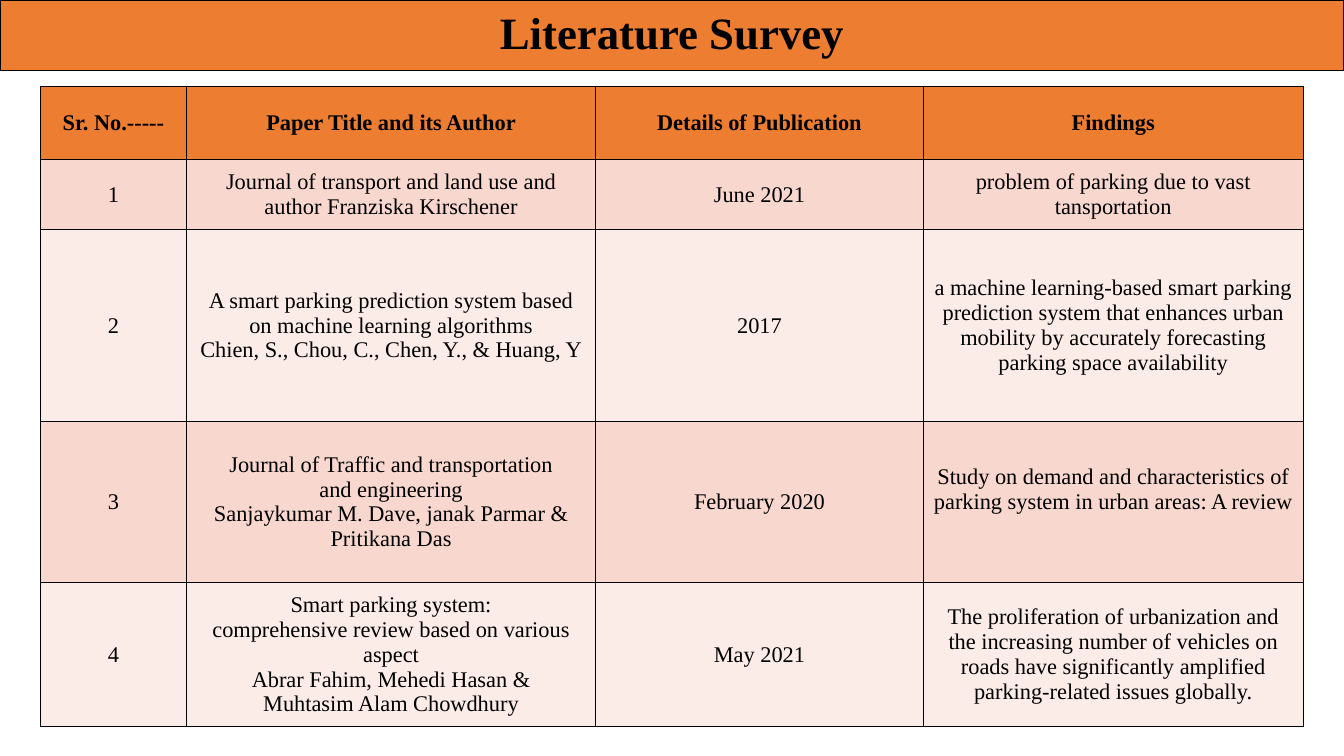
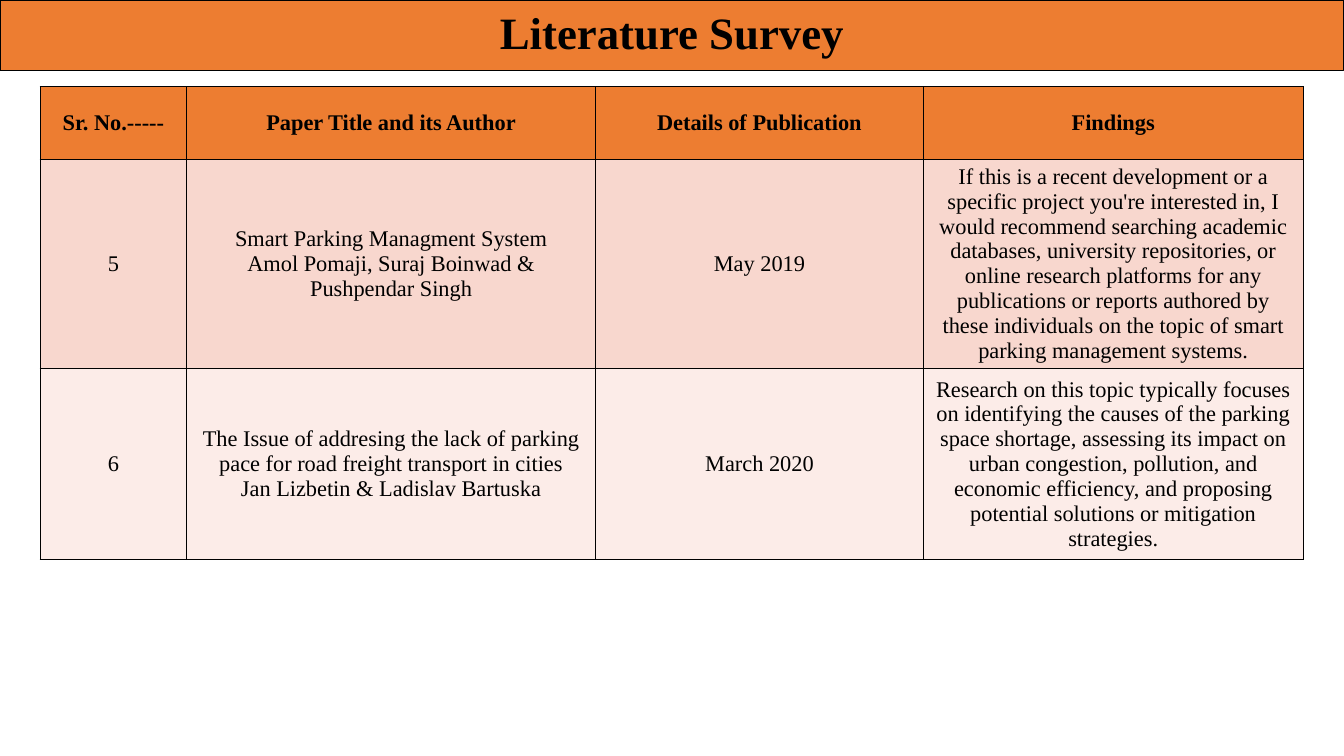
"""Build the literature survey slides, each a title band above a table."""
import dataclasses

import lxml.etree
import pptx
import pptx.dml.color
import pptx.enum.text
import pptx.oxml.ns
import pptx.util

Pt = pptx.util.Pt
RGB = pptx.dml.color.RGBColor.from_string
ANCHOR = pptx.enum.text.MSO_ANCHOR
CENTER = pptx.enum.text.PP_ALIGN.CENTER


@dataclasses.dataclass(frozen=True)
class Theme:
    font: str = "Times New Roman"
    ink: str = "000000"
    accent: str = "ED7D31"
    bands: tuple = ("F8D7CE", "FCECE8")
    title_size: int = 32
    table_size: int = 16
    title_line: float = 0.75
    border: int = 1


WIDTH, HEIGHT = 960, 540
BAND_HEIGHT = 50.4
TABLE_LEFT, TABLE_TOP = 28.8, 61.9
COLUMNS = (104.4, 292.3, 234, 271.4)
HEADER_HEIGHT = 51.8
ROW_HEIGHTS = (50.4, 136.8, 115.2, 103)
PADDING = {"margin_left": 7.2, "margin_right": 7.2, "margin_top": 3.6, "margin_bottom": 3.6}
RAISED = {"margin_bottom": 21.6}

TITLE = "Literature Survey"
HEADER = ("Sr. No.-----", "Paper Title and its Author", "Details of Publication", "Findings")
PAGES = (
    (
        ("1", "Journal of transport and land use and author Franziska Kirschener",
         "June 2021", "problem of parking due to vast tansportation"),
        ("2", "A smart parking prediction system based on machine learning algorithms\n"
              "Chien, S., Chou, C., Chen, Y., & Huang, Y",
         "2017", "a machine learning-based smart parking prediction system that enhances urban "
                 "mobility by accurately forecasting parking space availability"),
        ("3", "Journal of Traffic and transportation\nand engineering\n"
              "Sanjaykumar M. Dave, janak Parmar &\nPritikana Das",
         "February 2020",
         "Study on demand and characteristics of parking system in urban areas: A review"),
        ("4", "Smart parking system:\ncomprehensive review based on various aspect\n"
              "Abrar Fahim, Mehedi Hasan &\nMuhtasim Alam Chowdhury",
         "May 2021", "The proliferation of urbanization and the increasing number of vehicles on "
                     "roads have significantly amplified parking-related issues globally."),
    ),
    (
        ("5", "Smart Parking Managment System\nAmol Pomaji, Suraj Boinwad &\nPushpendar Singh",
         "May 2019", "If this is a recent development or a specific project you're interested in, "
                     "I would recommend searching academic databases, university repositories, or "
                     "online research platforms for any publications or reports authored by these "
                     "individuals on the topic of smart parking management systems."),
        ("6", "The Issue of addresing the lack of parking pace for road freight transport in "
              "cities\nJan Lizbetin & Ladislav Bartuska",
         "March 2020", "Research on this topic typically focuses on identifying the causes of the "
                       "parking space shortage, assessing its impact on urban congestion, "
                       "pollution, and economic efficiency, and proposing potential solutions or "
                       "mitigation strategies."),
    ),
)


def apply(target, values):
    for name, value in values.items():
        setattr(target, name, value)


class Deck:
    def __init__(self, theme):
        self.theme = theme
        self.prs = pptx.Presentation()
        apply(self.prs, {"slide_width": Pt(WIDTH), "slide_height": Pt(HEIGHT)})
        self.s = None

    def slide(self):
        self.s = self.prs.slides.add_slide(self.prs.slide_layouts[5])

    def text(self, tf, text, size, bold, spacing=1.0):
        tf.text = text
        for p in tf.paragraphs:
            apply(p, {"alignment": CENTER, "line_spacing": spacing})
            for r in p.runs:
                apply(r.font, {"name": self.theme.font, "size": Pt(size), "bold": bold})
                r.font.color.rgb = RGB(self.theme.ink)

    def fill(self, target, color):
        target.fill.solid()
        target.fill.fore_color.rgb = RGB(color)

    def title(self, text):
        sp = self.s.shapes.title
        apply(sp, {"left": 0, "top": 0, "width": Pt(WIDTH), "height": Pt(BAND_HEIGHT)})
        self.fill(sp, self.theme.accent)
        sp.line.color.rgb = RGB(self.theme.ink)
        sp.line.width = Pt(self.theme.title_line)
        apply(sp.text_frame, {"vertical_anchor": ANCHOR.MIDDLE, "word_wrap": True,
                              "auto_size": pptx.enum.text.MSO_AUTO_SIZE.NONE})
        self.text(sp.text_frame, text, self.theme.title_size, True, 0.9)

    def borders(self, cell):
        qn = pptx.oxml.ns.qn
        tc_pr = cell._tc.get_or_add_tcPr()
        for i, side in enumerate(("a:lnL", "a:lnR", "a:lnT", "a:lnB")):
            ln = lxml.etree.Element(qn(side), w=str(int(Pt(self.theme.border))))
            solid = lxml.etree.SubElement(ln, qn("a:solidFill"))
            lxml.etree.SubElement(solid, qn("a:srgbClr"), val=self.theme.ink)
            tc_pr.insert(i, ln)

    def cell(self, cell, text, color, bold):
        self.text(cell.text_frame, text, self.theme.table_size, bold)
        cell.vertical_anchor = ANCHOR.MIDDLE
        apply(cell, {name: Pt(value) for name, value in PADDING.items()})
        self.fill(cell, color)
        self.borders(cell)

    def table(self, header, rows):
        heights = (HEADER_HEIGHT, *ROW_HEIGHTS[:len(rows)])
        table = self.s.shapes.add_table(
            len(heights), len(COLUMNS), Pt(TABLE_LEFT), Pt(TABLE_TOP),
            Pt(sum(COLUMNS)), Pt(sum(heights))).table
        for column, width in zip(table.columns, COLUMNS):
            column.width = Pt(width)
        for i, (row, height, texts) in enumerate(zip(table.rows, heights, (header, *rows))):
            row.height = Pt(height)
            color = self.theme.bands[(i - 1) % 2] if i else self.theme.accent
            for cell, text in zip(row.cells, texts):
                self.cell(cell, text, color, i == 0)
        return table


def main():
    deck = Deck(Theme())
    tables = []
    for rows in PAGES:
        deck.slide()
        deck.title(TITLE)
        tables.append(deck.table(HEADER, rows))
    apply(tables[0].cell(3, 3), {name: Pt(value) for name, value in RAISED.items()})
    deck.prs.save("out.pptx")


if __name__ == "__main__":
    main()
